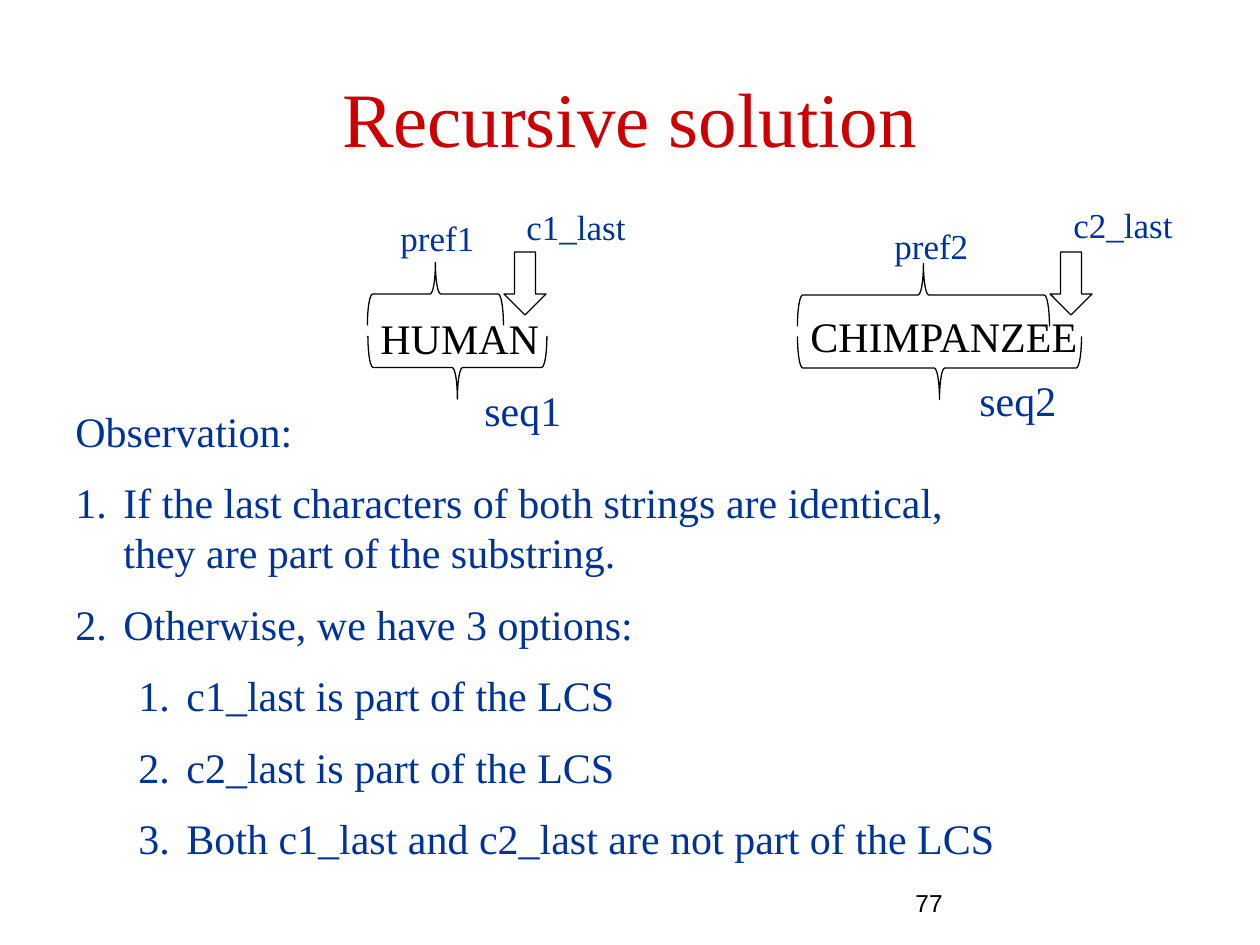
from lxml.etree import SubElement
from pptx import Presentation
from pptx.dml.color import RGBColor
from pptx.enum.shapes import MSO_SHAPE
from pptx.enum.text import MSO_ANCHOR, PP_ALIGN
from pptx.oxml.ns import qn
from pptx.util import Pt

SCALE = 914400 / 126
RED = RGBColor(0xCC, 0x00, 0x00)
BLUE = RGBColor(0x00, 0x33, 0x99)
BLACK = RGBColor(0x00, 0x00, 0x00)
WHITE = RGBColor(0xFF, 0xFF, 0xFF)
SERIF = "Times New Roman"

presentation = Presentation()
presentation.slide_width = round(1260 * SCALE)
presentation.slide_height = round(945 * SCALE)
slide = presentation.slides.add_slide(presentation.slide_layouts[6])


def add_text(text, box, size, color, font=SERIF, wrap=True):
    shape = slide.shapes.add_textbox(*(round(length * SCALE) for length in box))
    shape.text_frame.word_wrap = wrap
    shape.text_frame.text = text
    for paragraph in shape.text_frame.paragraphs:
        for run in paragraph.runs:
            run.font.size = Pt(size)
            run.font.name = font
            run.font.color.rgb = color
    return shape


def add_outline(kind, box, rotation=0, flipped=False):
    shape = slide.shapes.add_shape(kind, *(round(length * SCALE) for length in box))
    shape.shadow.inherit = False
    shape.line.color.rgb = BLACK
    shape.line.width = Pt(0.75)
    shape.rotation = rotation
    if flipped:
        shape._element.spPr.find(qn("a:xfrm")).set("flipH", "1")
    if kind == MSO_SHAPE.LEFT_BRACE:
        shape.fill.solid()
        shape.fill.fore_color.rgb = WHITE
    else:
        shape.fill.background()


title = add_text("Recursive solution", (63, 38, 1134, 157), 44, RED)
title.text_frame.vertical_anchor = MSO_ANCHOR.MIDDLE
title.text_frame.paragraphs[0].alignment = PP_ALIGN.CENTER

add_text("77", (903, 882, 294, 32), 14, BLACK, "Arial")

for box in [(426, 278, 63, 179), (908, 226, 63, 284)]:
    add_outline(MSO_SHAPE.LEFT_BRACE, box, 270)
for left in (504, 1050):
    add_outline(MSO_SHAPE.DOWN_ARROW, (left, 252, 42, 63))
for box in [(404, 226, 63, 136), (892, 169, 63, 252)]:
    add_outline(MSO_SHAPE.LEFT_BRACE, box, 270, flipped=True)

labels = [
    ("seq1", (472, 378, 103, 63), 24),
    ("seq2", (967, 368, 103, 63), 24),
    ("c1_last", (514, 199, 125, 55), 20),
    ("c2_last", (1061, 197, 125, 55), 20),
    ("pref2", (882, 218, 99, 55), 20),
    ("pref1", (388, 210, 99, 55), 20),
]
for text, box, size in labels:
    add_text(text, box, size, BLUE, wrap=False)

observations = [
    ("Observation:", None),
    ("If the last characters of both strings are identical, they are part of the substring.", 0),
    ("Otherwise, we have 3 options:", 0),
    ("c1_last is part of the LCS", 1),
    ("c2_last is part of the LCS", 1),
    ("Both c1_last and c2_last are not part of the LCS", 1),
]
body = add_text("\n".join(text for text, level in observations), (63, 399, 966, 496), 24, BLUE)
for paragraph, (text, level) in zip(body.text_frame.paragraphs, observations):
    if level is None:
        continue
    paragraph.level = level
    paragraph.space_before = Pt(12)
    properties = paragraph._p.get_or_add_pPr()
    properties.set("marL", str(round((48 + 63 * level) * SCALE)))
    properties.set("indent", str(round(-48 * SCALE)))
    SubElement(properties, qn("a:buFont"), typeface="+mj-lt")
    SubElement(properties, qn("a:buAutoNum"), type="arabicPeriod")
    properties.find(qn("a:buFont")).set("typeface", SERIF)

add_text("HUMAN", (368, 306, 262, 63), 24, BLACK)
add_text("CHIMPANZEE", (798, 304, 346, 63), 24, BLACK)

presentation.save("out.pptx")
